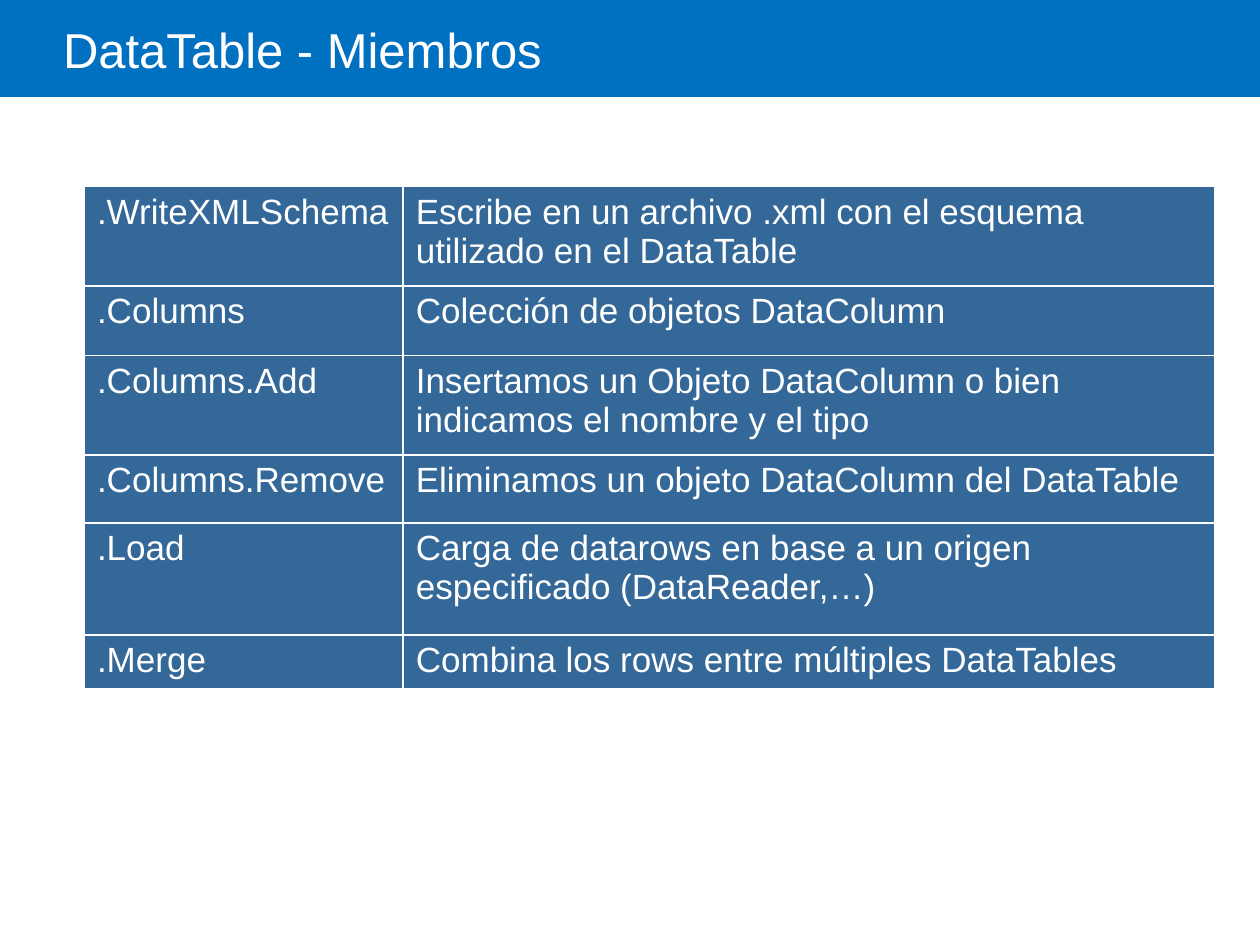
from dataclasses import dataclass
from lxml.etree import SubElement
from pptx import Presentation
from pptx.dml.color import RGBColor
from pptx.enum.shapes import MSO_SHAPE
from pptx.enum.text import MSO_ANCHOR, PP_ALIGN
from pptx.oxml.ns import qn
from pptx.slide import Slide
from pptx.table import _Cell as Cell
from pptx.text.text import TextFrame
from pptx.util import Inches, Pt


@dataclass(frozen=True)
class Theme:
    font: str = "Arial"
    band: str = "0070C0"
    cell: str = "346898"
    light: str = "FFFFFF"
    title_size: int = 28
    table_size: int = 20
    border_width: int = 1


@dataclass(frozen=True)
class Member:
    name: str
    description: str
    height: float


THEME = Theme()
TITLE = "DataTable - Miembros"
COLUMN_WIDTHS = (2.53, 6.44)
MEMBERS = (
    Member(".WriteXMLSchema", "Escribe en un archivo .xml con el esquema utilizado en el DataTable", 0.79),
    Member(".Columns", "Colección de objetos DataColumn", 0.55),
    Member(".Columns.Add", "Insertamos un Objeto DataColumn o bien indicamos el nombre y el tipo", 0.79),
    Member(".Columns.Remove", "Eliminamos un objeto DataColumn del DataTable", 0.54),
    Member(".Load", "Carga de datarows en base a un origen especificado (DataReader,…)", 0.89),
    Member(".Merge", "Combina los rows entre múltiples DataTables", 0.43),
)


def write_text(text_frame: TextFrame, text: str, size: int) -> None:
    text_frame.text = text
    paragraph = text_frame.paragraphs[0]
    paragraph.alignment = PP_ALIGN.LEFT
    font = paragraph.runs[0].font
    font.name = THEME.font
    font.size = Pt(size)
    font.bold = False
    font.color.rgb = RGBColor.from_string(THEME.light)


def add_borders(cell: Cell) -> None:
    properties = cell._tc.get_or_add_tcPr()
    for position, side in enumerate(("lnL", "lnR", "lnT", "lnB")):
        line = SubElement(properties, qn(f"a:{side}"), w=str(Pt(THEME.border_width)))
        fill = SubElement(line, qn("a:solidFill"))
        SubElement(fill, qn("a:srgbClr"), val=THEME.light)
        properties.insert(position, line)


def add_title(slide: Slide) -> None:
    title = slide.shapes.title
    title.left, title.top = Inches(0.5), Inches(0)
    title.width, title.height = Inches(9.38), Inches(0.85)
    text_frame = title.text_frame
    write_text(text_frame, TITLE, THEME.title_size)
    text_frame.paragraphs[0].line_spacing = 0.85
    text_frame.vertical_anchor = MSO_ANCHOR.MIDDLE
    text_frame.margin_left = Inches(0)

    band = slide.shapes.add_shape(
        MSO_SHAPE.RECTANGLE, Inches(0), Inches(0), Inches(10), Inches(0.77)
    )
    band.shadow.inherit = False
    band.fill.solid()
    band.fill.fore_color.rgb = RGBColor.from_string(THEME.band)
    band.line.fill.background()
    title.element.addprevious(band.element)


def add_member_table(slide: Slide) -> None:
    table = slide.shapes.add_table(
        len(MEMBERS), len(COLUMN_WIDTHS), Inches(0.67), Inches(1.48),
        Inches(sum(COLUMN_WIDTHS)), Inches(sum(member.height for member in MEMBERS)),
    ).table
    table.first_row = False
    table.horz_banding = False
    for column, width in zip(table.columns, COLUMN_WIDTHS):
        column.width = Inches(width)
    for row, member in zip(table.rows, MEMBERS):
        row.height = Inches(member.height)
        for cell, text in zip(row.cells, (member.name, member.description)):
            write_text(cell.text_frame, text, THEME.table_size)
            cell.fill.solid()
            cell.fill.fore_color.rgb = RGBColor.from_string(THEME.cell)
            add_borders(cell)


def main() -> None:
    presentation = Presentation()
    presentation.slide_width = Inches(10)
    presentation.slide_height = Inches(7.5)
    slide = presentation.slides.add_slide(presentation.slide_layouts[5])
    add_title(slide)
    add_member_table(slide)
    presentation.save("out.pptx")


if __name__ == "__main__":
    main()
